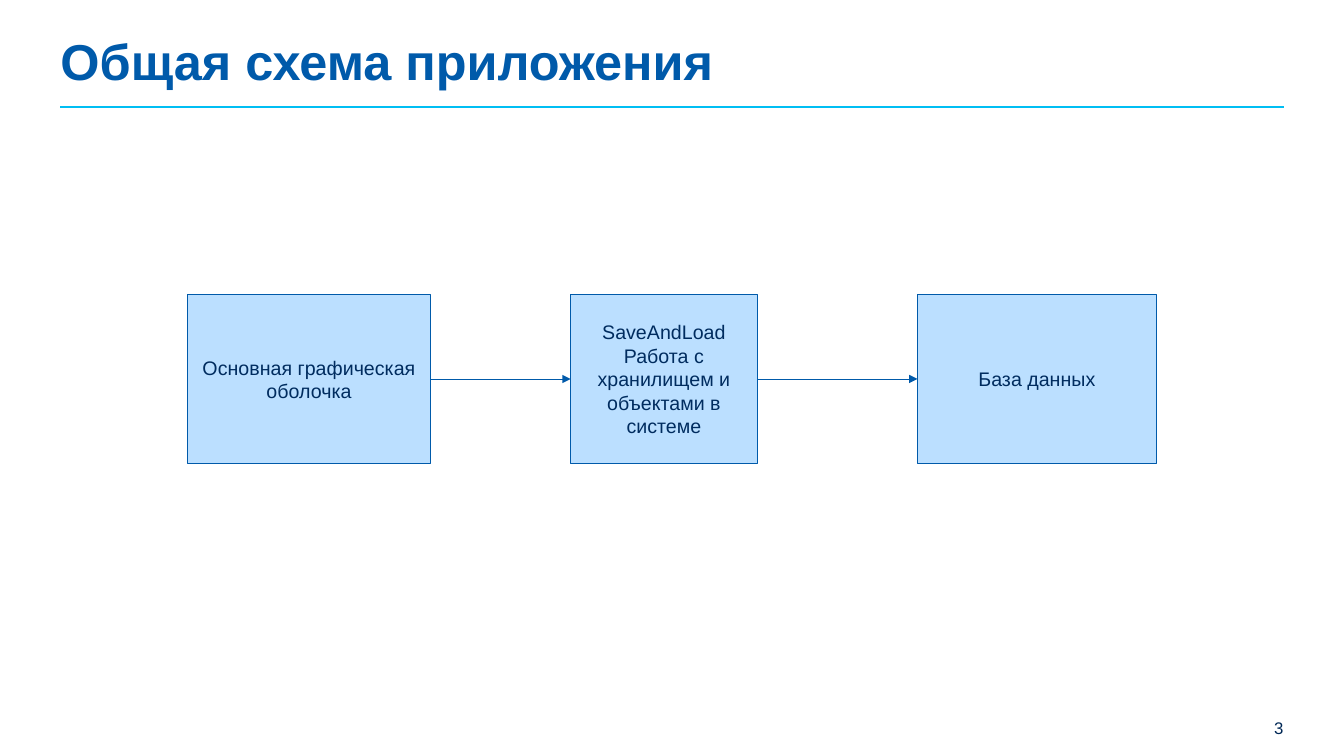
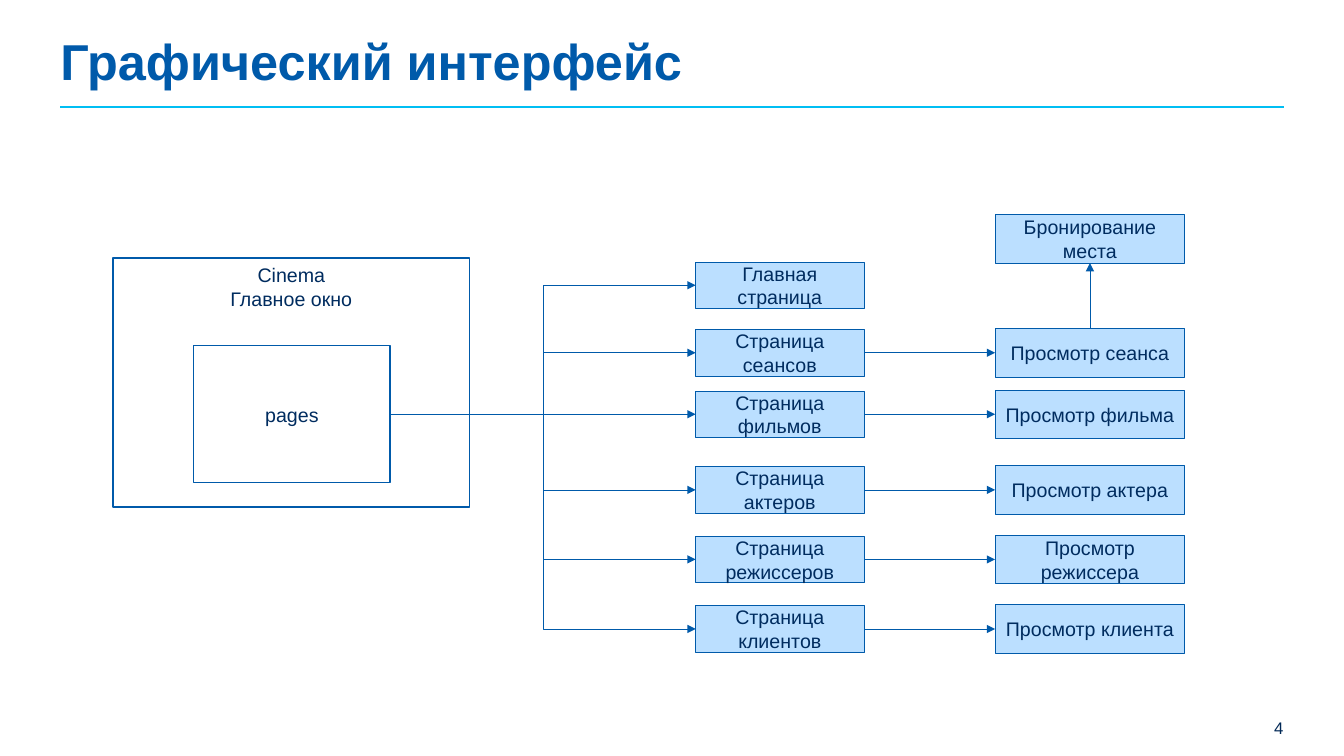
"""Build two slides that outline the application and its graphical interface."""
from lxml.etree import SubElement
from pptx import Presentation
from pptx.dml.color import RGBColor
from pptx.enum.shapes import MSO_CONNECTOR, MSO_SHAPE
from pptx.enum.text import MSO_ANCHOR, PP_ALIGN
from pptx.oxml.ns import qn
from pptx.util import Inches, Pt

BLUE, CYAN, PALE, WHITE = "005AAA", "00BEF3", "BBDFFF", "FFFFFF"
NAVY, DARK = "002C5F", "002856"
TOP, LEFT, BOTTOM, RIGHT = range(4)
NO_MARGINS = dict.fromkeys(("margin_left", "margin_top", "margin_right", "margin_bottom"), 0)
BOX = {
    "frame": {"word_wrap": True, "vertical_anchor": MSO_ANCHOR.MIDDLE},
    "para": {"alignment": PP_ALIGN.CENTER},
    "font": {"name": "Arial", "size": Pt(14)},
    "color": NAVY,
}
FRAME = BOX | {"frame": BOX["frame"] | {"vertical_anchor": MSO_ANCHOR.TOP}}
TITLE = {
    "frame": BOX["frame"] | NO_MARGINS,
    "para": {"alignment": PP_ALIGN.LEFT, "line_spacing": 0.9},
    "font": {"name": "Arial", "size": Pt(36), "bold": True},
    "color": BLUE,
}
NUMBER = {
    "frame": FRAME["frame"] | NO_MARGINS,
    "para": {"alignment": PP_ALIGN.RIGHT},
    "font": {"name": "Arial", "size": Pt(12)},
    "color": DARK,
}


def add_box(page, text, place, style=BOX, fill=PALE, weight=0.5):
    """Add a text box, or a filled and outlined rectangle when fill is given."""
    place = [Inches(value) for value in place]
    if fill:
        box = page.shapes.add_shape(MSO_SHAPE.RECTANGLE, *place)
        box.shadow.inherit = False
        box.fill.solid()
        box.fill.fore_color.rgb = RGBColor.from_string(fill)
        box.line.color.rgb = RGBColor.from_string(BLUE)
        box.line.width = Pt(weight)
    else:
        box = page.shapes.add_textbox(*place)
    box.text_frame.text = text
    targets = [(box.text_frame, "frame")]
    for para in box.text_frame.paragraphs:
        targets += [(para, "para"), (para.font, "font")]
        para.font.color.rgb = RGBColor.from_string(style["color"])
    for target, group in targets:
        for name, value in style[group].items():
            setattr(target, name, value)
    return box


def add_line(page, start=None, end=None, sides=(RIGHT, LEFT), kind=MSO_CONNECTOR.STRAIGHT):
    """Add an arrow between two boxes, or the rule under the title."""
    points = [Inches(value) for value in (0.6, 1.06, 12.73, 1.06)]
    line = page.shapes.add_connector(kind, *points)
    SubElement(line._element.spPr, qn("a:effectLst"))
    line.line.color.rgb = RGBColor.from_string(BLUE if start else CYAN)
    line.line.width = Pt(0.5 if start else 1.25)
    if start:
        line.begin_connect(start, sides[0])
        line.end_connect(end, sides[1])
        SubElement(line.line._get_or_add_ln(), qn("a:tailEnd"), type="triangle")


deck = Presentation()
deck.slide_width, deck.slide_height = Inches(13.33), Inches(7.5)

pages = []
for number, title in enumerate(("Общая схема приложения", "Графический интерфейс"), 3):
    page = deck.slides.add_slide(deck.slide_layouts[6])
    add_line(page)
    add_box(page, str(number), (10.07, 7.12, 2.66, 0.2), NUMBER, fill=None)
    add_box(page, title, (0.6, 0.36, 10.51, 0.55), TITLE, fill=None)
    pages.append(page)
scheme, interface = pages

modules = [
    ("Основная графическая оболочка", 1.86, 2.41),
    ("SaveAndLoad\nРабота с хранилищем и объектами в системе", 5.66, 1.85),
    ("База данных", 9.1, 2.37),
]
boxes = [add_box(scheme, text, (left, 2.92, width, 1.68)) for text, left, width in modules]
for start, end in zip(boxes, boxes[1:]):
    add_line(scheme, start, end)

add_box(interface, "Cinema\nГлавное окно", (1.12, 2.56, 3.54, 2.47), FRAME, WHITE, 1)
hub = add_box(interface, "pages", (1.92, 3.43, 1.95, 1.36), fill=WHITE, weight=1)
rows = [
    (2.83, "Главная страница", None),
    (3.5, "Страница сеансов", "Просмотр сеанса"),
    (4.11, "Страница фильмов", "Просмотр фильма"),
    (4.86, "Страница актеров", "Просмотр актера"),
    (5.55, "Страница режиссеров", "Просмотр режиссера"),
    (6.24, "Страница клиентов", "Просмотр клиента"),
]
booking = add_box(interface, "Бронирование места", (9.87, 2.13, 1.88, 0.48))
views = []
for middle, section, view in rows:
    section_box = add_box(interface, section, (6.9, middle - 0.23, 1.67, 0.46))
    level = middle == 4.11
    add_line(interface, hub, section_box,
             kind=MSO_CONNECTOR.STRAIGHT if level else MSO_CONNECTOR.ELBOW)
    if view:
        views.append(add_box(interface, view, (9.87, middle - 0.24, 1.88, 0.48)))
        add_line(interface, section_box, views[-1])
add_line(interface, views[0], booking, (TOP, BOTTOM))

deck.save("out.pptx")
